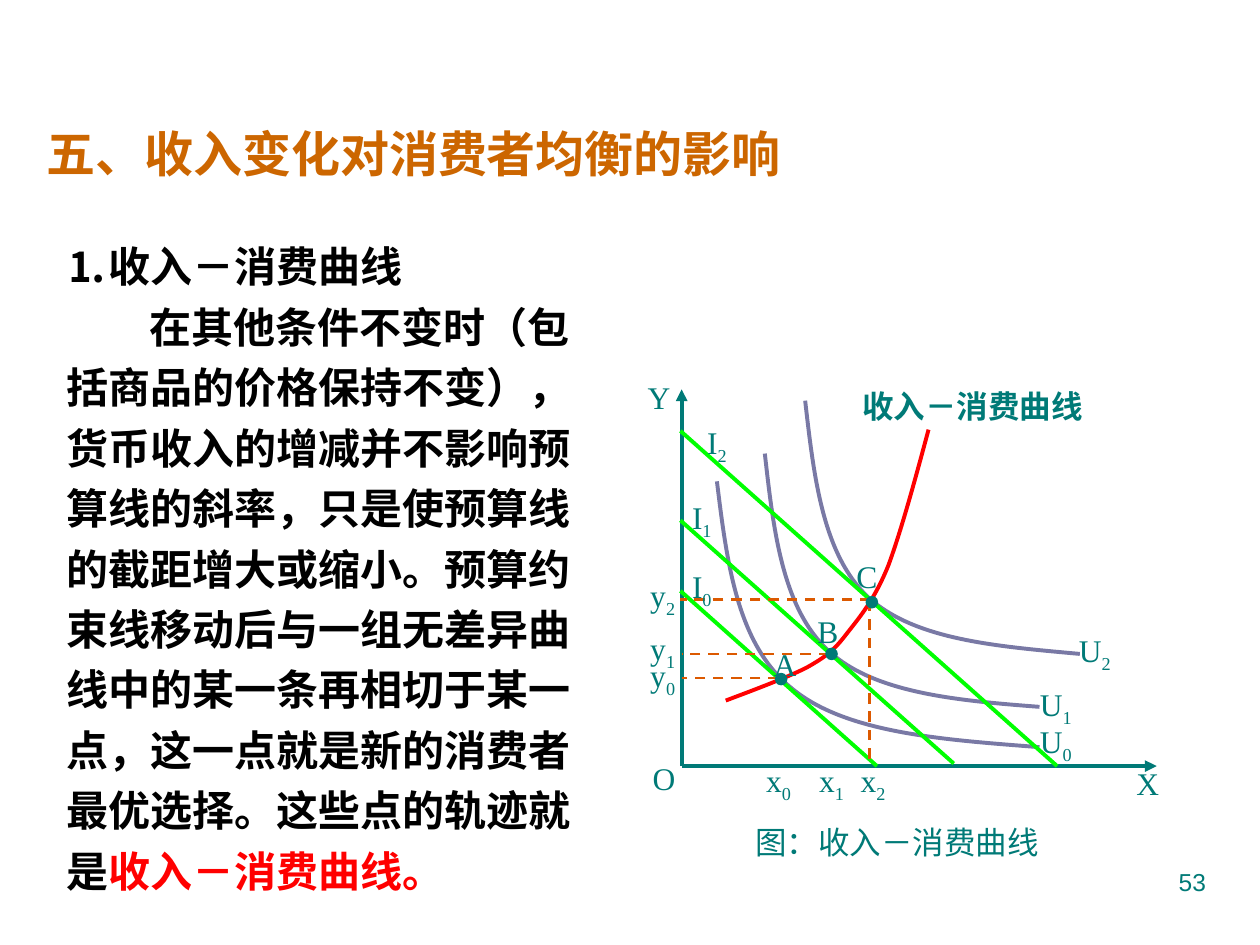
from lxml.etree import SubElement
from pptx import Presentation
from pptx.dml.color import RGBColor
from pptx.enum.dml import MSO_LINE
from pptx.enum.shapes import MSO_CONNECTOR, MSO_SHAPE
from pptx.enum.text import MSO_ANCHOR, MSO_AUTO_SIZE, PP_ALIGN
from pptx.oxml.ns import qn
from pptx.util import Inches, Pt

TEAL, ORANGE, RED, BLACK = "007A77", "CC6600", "FF0000", "000000"
PURPLE, GREEN, DASH_ORANGE = "7979A5", "00FF00", "DC5900"
CHINESE, SERIF, SANS = "Noto Sans CJK SC", "Times New Roman", "Arial"


def color(hex_text):
    return RGBColor.from_string(hex_text)


def set_values(target, values):
    for name, value in values.items():
        setattr(target, name, value)


def bend_segments(shape):
    """Join each three straight segments of a freeform into one cubic curve."""
    outline = next(shape._element.iter(qn("a:path")))
    straight = outline.findall(qn("a:lnTo"))
    for first in range(0, len(straight), 3):
        cubic = SubElement(outline, qn("a:cubicBezTo"))
        for segment in straight[first:first + 3]:
            cubic.append(segment[0])
            outline.remove(segment)


class SlideBuilder:
    """Holds the shared style and the slide being drawn."""

    line_width = 2.25
    label_size = 18
    label_box = (0.46, 0.41)
    label_margins = (0.06, 0.04)
    wide_margins = (0.1, 0.05)

    def __init__(self, slide):
        self.slide = slide
        self.shapes = slide.shapes

    def frame(self, shape, margins):
        horizontal, vertical = margins
        set_values(shape.text_frame, {
            "word_wrap": True, "auto_size": MSO_AUTO_SIZE.NONE,
            "vertical_anchor": MSO_ANCHOR.TOP,
            "margin_left": Inches(horizontal), "margin_right": Inches(horizontal),
            "margin_top": Inches(vertical), "margin_bottom": Inches(vertical)})
        return shape.text_frame

    def run(self, paragraph, text, font, size, hex_text, bold=False):
        run = paragraph.add_run()
        run.text = text
        set_values(run.font, {"name": font, "size": Pt(size), "bold": bold})
        run.font.color.rgb = color(hex_text)
        SubElement(run.font._element, qn("a:ea")).set("typeface", CHINESE)
        return run

    def placeholder(self, shape, box, paragraphs, font, size):
        """Fill a placeholder; each paragraph is (first-line indent, [(text, colour)])."""
        names = ("left", "top", "width", "height")
        set_values(shape, dict(zip(names, map(Inches, box))))
        frame = self.frame(shape, self.wide_margins)
        for number, (indent, runs) in enumerate(paragraphs):
            paragraph = frame.add_paragraph() if number else frame.paragraphs[0]
            properties = paragraph._p.get_or_add_pPr()
            properties.set("marL", "0")
            properties.set("indent", str(Inches(indent)))
            SubElement(properties, qn("a:buNone"))
            set_values(paragraph, {"alignment": PP_ALIGN.LEFT, "line_spacing": 1.2,
                                   "space_before": Pt(0)})
            for text, hex_text in runs:
                self.run(paragraph, text, font, size, hex_text, bold=True)

    def text(self, box, text, font=SERIF, size=label_size, bold=False, subscript="",
             align=PP_ALIGN.CENTER, margins=label_margins):
        shape = self.shapes.add_textbox(*map(Inches, box))
        paragraph = self.frame(shape, margins).paragraphs[0]
        paragraph.alignment = align
        self.run(paragraph, text, font, size, TEAL, bold)
        if subscript:
            run = self.run(paragraph, subscript, font, size, TEAL, bold)
            run.font._element.set("baseline", "-25000")

    def label(self, left, top, text, subscript=""):
        self.text((left, top, *self.label_box), text, subscript=subscript)

    def line(self, start, end, hex_text, width=line_width, dashed=False, arrow=False):
        connector = self.shapes.add_connector(
            MSO_CONNECTOR.STRAIGHT, *map(Inches, start + end))
        connector.line.color.rgb = color(hex_text)
        connector.line.width = Pt(width)
        if dashed:
            connector.line.dash_style = MSO_LINE.DASH
        if arrow:
            SubElement(connector.line._get_or_add_ln(), qn("a:tailEnd")).set("type", "triangle")
        SubElement(connector._element.spPr, qn("a:effectLst"))

    def curve(self, points, hex_text):
        """Draw joined cubic curves: a start, then two controls and an end for each."""
        start, *others = [tuple(map(Inches, point)) for point in points]
        builder = self.shapes.build_freeform(*start)
        builder.add_line_segments(others, close=False)
        shape = builder.convert_to_shape()
        bend_segments(shape)
        shape.shadow.inherit = False
        shape.fill.background()
        shape.line.color.rgb = color(hex_text)
        shape.line.width = Pt(self.line_width)

    def dot(self, center, diameter=0.1):
        left, top = (value - diameter / 2 for value in center)
        shape = self.shapes.add_shape(
            MSO_SHAPE.OVAL, *map(Inches, (left, top, diameter, diameter)))
        shape.shadow.inherit = False
        shape.fill.solid()
        shape.fill.fore_color.rgb = color(TEAL)
        shape.line.fill.background()


def draw_text(builder):
    title, body = builder.slide.placeholders
    builder.placeholder(title, (0.27, 0.84, 6.62, 0.66),
                        [(0, [("五、收入变化对消费者均衡的影响", ORANGE)])], CHINESE, 28)
    explanation = (
        "在其他条件不变时（包括商品的价格保持不变），货币收入的增减并不影响预算线的斜率，"
        "只是使预算线的截距增大或缩小。预算约束线移动后与一组无差异曲线中的某一条再相切于某一点，"
        "这一点就是新的消费者最优选择。这些点的轨迹就是")
    builder.placeholder(body, (0.43, 1.78, 4.49, 5.38), [
        (0, [("⒈收入－消费曲线", BLACK)]),
        (0.66, [(explanation, BLACK), ("收入－消费曲线。", RED)])], SANS, 24)
    builder.text((5.38, 6.48, 3.48, 0.43), "图：收入－消费曲线", CHINESE,
                 margins=builder.wide_margins)
    builder.text((7.17, 6.83, 2.5, 0.52), "53", SANS, 14, align=PP_ALIGN.RIGHT,
                 margins=builder.wide_margins)


def draw_diagram(builder):
    origin = (5.41, 6.08)
    for axis_end in ((5.41, 3.09), (9.18, 6.08)):
        builder.line(origin, axis_end, TEAL, arrow=True)

    indifference_curves = (
        ((5.69, 3.82), (5.77, 4.47), (5.85, 5.11), (6.28, 5.46),
         (6.71, 5.82), (7.48, 5.87), (8.25, 5.93)),
        ((6.07, 3.6), (6.14, 4.22), (6.21, 4.83), (6.58, 5.17),
         (6.94, 5.5), (7.59, 5.56), (8.25, 5.61)),
        ((6.39, 3.18), (6.46, 3.79), (6.53, 4.4), (6.89, 4.74),
         (7.26, 5.08), (7.91, 5.13), (8.57, 5.19)))
    for points in indifference_curves:
        builder.curve(points, PURPLE)

    budget_lines = ((4.69, (6.96, 6.08)), (4.13, (7.57, 6.06)), (3.42, (8.39, 6.08)))
    for intercept, end in budget_lines:
        builder.line((5.4, intercept), end, GREEN)

    income_consumption_curve = (
        (5.76, 5.56), (6, 5.47), (6.24, 5.38), (6.4, 5.3),
        (6.56, 5.21), (6.62, 5.16), (6.72, 5.03),
        (6.83, 4.89), (6.94, 4.76), (7.05, 4.49),
        (7.15, 4.22), (7.26, 3.82), (7.37, 3.41))
    builder.curve(income_consumption_curve, RED)

    guides = [((6.9, 4.77), (6.9, 6.07))]
    guides += [((right, height), (left, height)) for right, left, height in (
        (6.18, 5.41, 5.38), (6.58, 5.41, 5.19), (6.91, 5.4, 4.76))]
    for start, end in guides:
        builder.line(start, end, DASH_ORANGE, width=1.5, dashed=True)

    for left, top, text in ((5.04, 5.98, "O"), (8.88, 6.02, "X"), (5, 2.96, "Y"),
                            (6, 5.08, "A"), (6.34, 4.82, "B"), (6.65, 4.38, "C")):
        builder.label(left, top, text)
    numbered_labels = {
        "U": ((8.15, 5.69), (8.15, 5.4), (8.46, 4.97)),
        "I": ((5.34, 4.46), (5.34, 3.91), (5.46, 3.32)),
        "x": ((5.95, 6), (6.37, 6), (6.7, 6)),
        "y": ((5.03, 5.17), (5.03, 4.95), (5.03, 4.53))}
    for letter, places in numbered_labels.items():
        for number, (left, top) in enumerate(places):
            builder.label(left, top, letter, str(number))
    builder.text((6.65, 3.03, 2.14, 0.41), "收入－消费曲线", bold=True)

    for equilibrium in ((6.2, 5.39), (6.6, 5.19), (6.92, 4.78)):
        builder.dot(equilibrium)


def main():
    presentation = Presentation()
    set_values(presentation, {"slide_width": Inches(10), "slide_height": Inches(7.5)})
    slide = presentation.slides.add_slide(presentation.slide_layouts[1])
    builder = SlideBuilder(slide)
    draw_text(builder)
    draw_diagram(builder)
    presentation.save("out.pptx")


if __name__ == "__main__":
    main()
